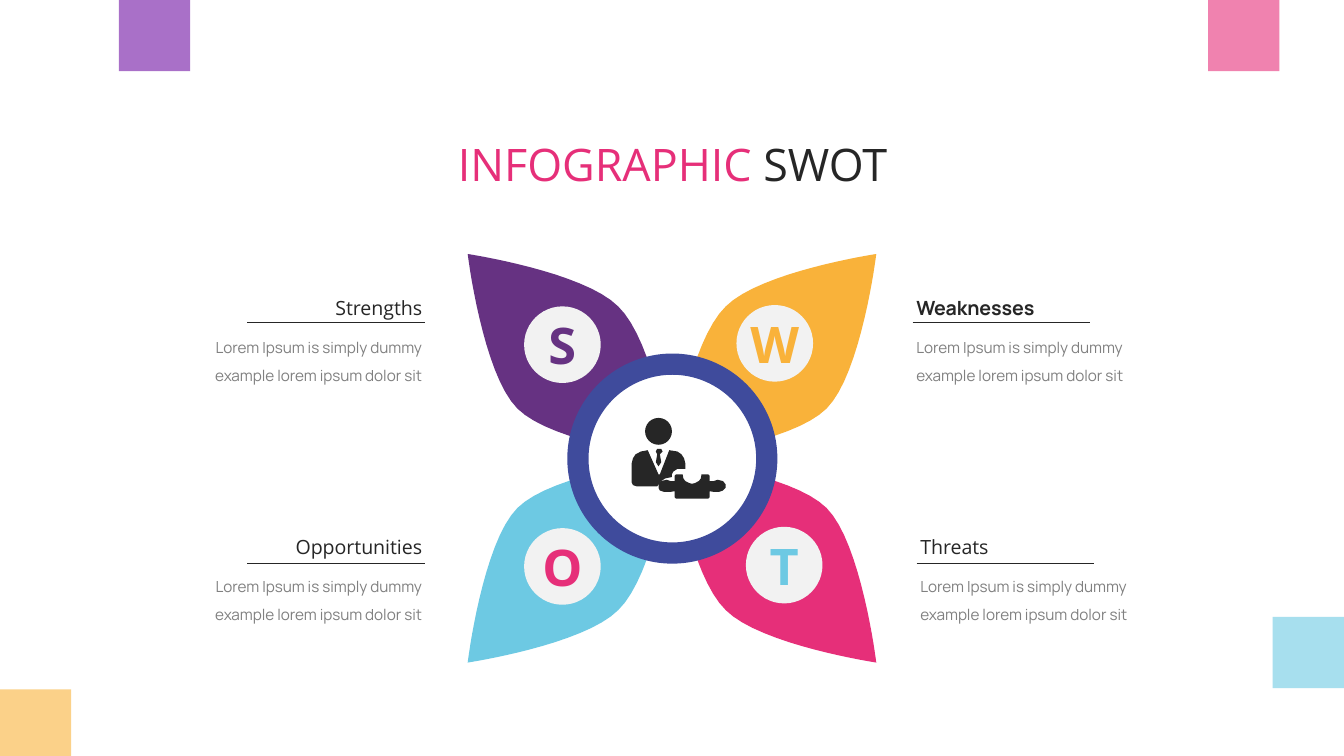
from pptx import Presentation
from pptx.util import Pt, Inches
from pptx.dml.color import RGBColor
from pptx.enum.shapes import MSO_SHAPE as Geo, MSO_CONNECTOR as Link
from pptx.enum.text import PP_ALIGN as Align, MSO_ANCHOR as Anchor
from pptx.oxml.ns import qn
from lxml.etree import SubElement

COL = Inches(0.1)
MID = (50, 34.1)
INK = RGBColor(0x26, 0x26, 0x26)
GRAY = RGBColor(0x80, 0x80, 0x80)
PALE = RGBColor(0xF2, 0xF2, 0xF2)
WHITE = RGBColor(0xFF, 0xFF, 0xFF)
PINK = RGBColor(0xE6, 0x2F, 0x79)
PLUM = RGBColor(0x66, 0x32, 0x82)
GOLD = RGBColor(0xF9, 0xB2, 0x3A)
SKY = RGBColor(0x6D, 0xC9, 0xE3)
NAVY = RGBColor(0x3F, 0x4B, 0x9C)
SAND = RGBColor(0xFB, 0xD1, 0x89)
ROSE = RGBColor(0xF0, 0x82, 0xAF)
ICE = RGBColor(0xA7, 0xDF, 0xEE)
LILAC = RGBColor(0xA9, 0x70, 0xC8)
SANS = "Open Sans"
BODY = "Manrope"
LOREM = "Lorem Ipsum\u00a0is simply dummy example lorem ipsum dolor sit"

LEAF = [((15.2, 15.2), (15.2, 15.2), (6.6, 13.9), (4, 11.3)),
        ((4, 11.3), (1.3, 8.7), (0, 0), (0, 0)),
        ((0, 0), (0, 0), (8.9, 1.1), (11.5, 3.7)),
        ((11.5, 3.7), (14.1, 6.3), (15.2, 15.2), (15.2, 15.2))]
COAT = [(48.2, 33.5), (49, 35.3), (49.1, 35.3), (49.8, 33.5), (50.4, 33.6),
        (50.7, 33.8), (50.9, 34.1), (51, 34.5), (51, 34.9), (50.4, 34.9),
        (50.1, 35.1), (50, 35.3), (50, 35.5), (49.5, 35.6), (49.2, 35.8),
        (48.9, 36.2), (47.4, 36.2), (47.1, 36.1), (47, 35.9), (47, 34.5),
        (47.1, 34.1), (47.3, 33.8), (47.7, 33.6)]
TIE = [(48.9, 33.4), (49.2, 33.4), (49.3, 33.6), (49.1, 33.8),
       (49.2, 34.4), (49, 34.7), (48.8, 34.4), (48.9, 33.8), (48.8, 33.6)]
PUZZLE = [(50.3, 35.3), (50.8, 35.3), (50.85, 35.6), (51, 35.8), (51.3, 35.95),
          (51.5, 36), (51.7, 35.95), (52, 35.8), (52.15, 35.6), (52.2, 35.3),
          (52.7, 35.3), (52.8, 35.4), (52.8, 35.8), (53.1, 35.8), (53.4, 35.7),
          (53.8, 35.8), (54, 36.05), (54, 36.3), (53.8, 36.5), (53.5, 36.6),
          (53.1, 36.6), (52.8, 36.55), (52.8, 37), (52.7, 37.1), (50.3, 37.1),
          (50.2, 37), (50.2, 36.55), (49.9, 36.6), (49.4, 36.6), (49.1, 36.5),
          (49, 36.3), (49, 36), (49.2, 35.8), (49.6, 35.7), (49.9, 35.8),
          (50.2, 35.8), (50.2, 35.4)]


def grid(*cells):
    return [round(c * COL) for c in cells]


def paint(shape, fill, line=None, width=0):
    shape.shadow.inherit = False
    shape.fill.solid()
    shape.fill.fore_color.rgb = fill
    if line is None:
        shape.line.fill.background()
    else:
        shape.line.color.rgb = line
        shape.line.width = Pt(width)
    return shape


def block(slide, kind, box, fill, line=None, width=0):
    return paint(slide.shapes.add_shape(kind, *grid(*box)), fill, line, width)


def outline(slide, dots, fill):
    dots = [grid(*d) for d in dots]
    pen = slide.shapes.build_freeform(*dots[0])
    pen.add_line_segments(dots[1:], close=True)
    paint(pen.convert_to_shape(), fill)


def curve(a, b, c, d, steps=16):
    for i in range(steps):
        t = i / steps
        u = 1 - t
        yield tuple(u**3 * p + 3 * u * u * t * q + 3 * u * t * t * r + t**3 * s
                    for p, q, r, s in zip(a, b, c, d))


def leaf(slide, sx, sy, fill):
    dots = [(MID[0] + sx * x, MID[1] + sy * y)
            for part in LEAF for x, y in curve(*part)]
    outline(slide, dots, fill)


def write(par, text, size, font, color, bold=False):
    run = par.add_run()
    run.text = text
    run.font.size = Pt(size)
    run.font.name = font
    run.font.bold = bold
    run.font.color.rgb = color


def label(slide, box, align, space, *style):
    frame = slide.shapes.add_textbox(*grid(*box)).text_frame
    frame.word_wrap = True
    par = frame.paragraphs[0]
    par.alignment = align
    par.line_spacing = space
    write(par, *style)


def rule(slide, x, y, width=13.2):
    line = slide.shapes.add_connector(Link.STRAIGHT, *grid(x, y, x + width, y))
    line.line.color.rgb = INK
    line.line.width = Pt(0.5)
    SubElement(line._element.spPr, qn("a:effectLst"))


def badge(slide, x, y, text, color):
    disc = block(slide, Geo.OVAL, (x, y, 5.7, 5.7), PALE)
    frame = disc.text_frame
    frame.margin_left = frame.margin_right = 0
    frame.margin_top = frame.margin_bottom = 0
    frame.word_wrap = False
    frame.vertical_anchor = Anchor.MIDDLE
    par = frame.paragraphs[0]
    par.alignment = Align.CENTER
    write(par, text, 27, SANS, color, True)


def head(slide):
    title = slide.shapes.title
    title.left, title.top, title.width, title.height = grid(28.1, 9.7, 43.9, 5)
    frame = title.text_frame
    frame.vertical_anchor = Anchor.TOP
    par = frame.paragraphs[0]
    par.alignment = Align.CENTER
    write(par, "INFOGRAPHIC", 24, SANS, PINK)
    write(par, " SWOT", 24, SANS, INK)


def note(slide, name, x, y, bar, align, font=SANS):
    label(slide, (x, y, 20.4, 2.8), align, 1, name, 10.5, font, INK, font == BODY)
    label(slide, (x, y + 2.5, 20.4, 5), align, 1.5, LOREM, 8.2, BODY, GRAY)
    rule(slide, *bar)


def icon(slide):
    block(slide, Geo.OVAL, (48, 31.1, 2, 2), INK)
    for part in (PUZZLE, COAT, TIE):
        outline(slide, part, INK)


def main():
    deck = Presentation()
    deck.slide_width, deck.slide_height = grid(100, 56.25)
    slide = deck.slides.add_slide(deck.slide_layouts[5])
    head(slide)
    for x, y, fill in ((0, 51.3, SAND), (89.9, 0, ROSE),
                       (94.7, 45.9, ICE), (8.85, 0, LILAC)):
        block(slide, Geo.RECTANGLE, (x, y, 5.3, 5.3), fill)
    for sx, sy, fill in ((1, 1, PINK), (-1, -1, PLUM), (1, -1, GOLD), (-1, 1, SKY)):
        leaf(slide, sx, sy, fill)
    block(slide, Geo.OVAL, (43, 27.1, 14.05, 14.05), WHITE, NAVY, 11.38)
    for spot in ((39, 22.8, "S", PLUM), (54.8, 22.7, "W", GOLD),
                 (39, 39.3, "O", PINK), (55.5, 39.2, "T", SKY)):
        badge(slide, *spot)
    icon(slide)
    note(slide, "Strengths", 12, 21.5, (18.4, 24), Align.RIGHT)
    note(slide, "Opportunities", 12, 39.3, (18.4, 41.9), Align.RIGHT)
    note(slide, "Weaknesses", 67.2, 21.5, (67.9, 24), Align.LEFT, BODY)
    note(slide, "Threats", 67.5, 39.3, (68.2, 41.9), Align.LEFT)
    deck.save("out.pptx")


main()
